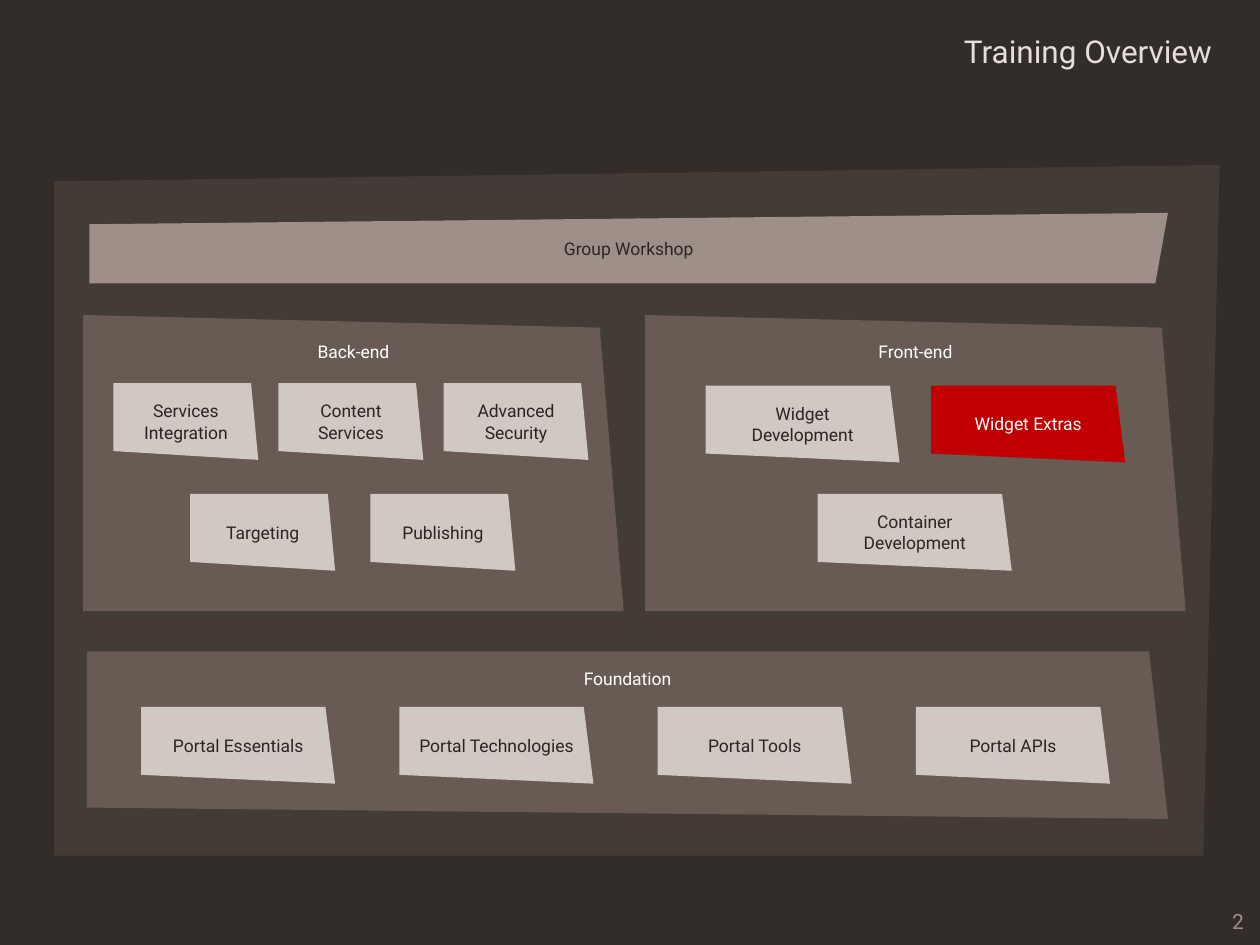
from dataclasses import dataclass

from pptx import Presentation
from pptx import util as u
from pptx.dml.color import RGBColor
from pptx.enum import text

FONT = "Roboto"
BACKGROUND, BACKDROP, PANEL, BANNER = "332D2A", "433B36", "675B53", "9E9088"
TILE, HIGHLIGHT, DARK, WHITE = "CFC8C3", "C00000", "2B2623", "FFFFFF"
TILE_HEIGHT, TILE_LEFT_SIDE, TILE_SLANT = 0.61, 0.54, 0.05


@dataclass
class Block:
    corners: list[tuple[float, float]]
    fill: str
    label: str = ""
    color: str = WHITE
    heading_inset: float | None = None  # None centres the label vertically


@dataclass
class TileRow:
    labels: list[str]
    left: float
    top: float
    width: float
    pitch: float = 0


BLOCKS = [
    Block([(0.43, 1.44), (9.68, 1.31), (9.55, 6.79), (0.43, 6.79)], BACKDROP),
    Block([(0.69, 5.17), (9.12, 5.17), (9.27, 6.5), (0.69, 6.41)],
          PANEL, "Foundation", heading_inset=0.13),
    Block([(0.71, 1.78), (9.27, 1.69), (9.17, 2.25), (0.71, 2.25)],
          BANNER, "Group Workshop", DARK),
] + [
    Block([(left, 2.5), (left + 4.1, 2.6), (left + 4.29, 4.85), (left, 4.85)],
          PANEL, label, heading_inset=0.21)
    for label, left in (("Back-end", 0.66), ("Front-end", 5.12))
]

TILE_ROWS = [
    TileRow(["Services\nIntegration", "Content\nServices", "Advanced\nSecurity"],
            0.9, 3.04, 1.15, 1.31),
    TileRow(["Targeting", "Publishing"], 1.51, 3.92, 1.15, 1.43),
    TileRow(["Widget\nDevelopment", "Widget Extras"], 5.6, 3.06, 1.54, 1.79),
    TileRow(["Container\nDevelopment"], 6.49, 3.92, 1.54),
    TileRow(["Portal Essentials", "Portal Technologies", "Portal Tools", "Portal APIs"],
            1.12, 5.61, 1.54, 2.05),
]


def set_fill(fill, color: str) -> None:
    fill.solid()
    fill.fore_color.rgb = RGBColor.from_string(color)


def write(frame, words: str, size: float, color: str, align) -> None:
    frame.text = words
    for para in frame.paragraphs:
        para.alignment = align
        para.font.name = FONT
        para.font.size = u.Pt(size)
        para.font.color.rgb = RGBColor.from_string(color)


def place(shape, left: float, top: float, width: float, height: float) -> None:
    shape.left, shape.top = u.Inches(left), u.Inches(top)
    shape.width, shape.height = u.Inches(width), u.Inches(height)


def draw_block(page, block: Block) -> None:
    points = [(u.Inches(x), u.Inches(y)) for x, y in block.corners]
    builder = page.shapes.build_freeform(*points[0])
    builder.add_line_segments(points[1:], close=True)
    shape = builder.convert_to_shape()
    shape.shadow.inherit = False
    shape.line.fill.background()
    set_fill(shape.fill, block.fill)
    if not block.label:
        return
    frame = shape.text_frame
    frame.word_wrap = False
    if block.heading_inset is None:
        frame.vertical_anchor = text.MSO_ANCHOR.MIDDLE
    else:
        frame.vertical_anchor = text.MSO_ANCHOR.TOP
        frame.margin_top = u.Inches(block.heading_inset)
    write(frame, block.label, 10, block.color, text.PP_ALIGN.CENTER)


def draw_tile_row(page, row: TileRow) -> None:
    for index, label in enumerate(row.labels):
        left = row.left + index * row.pitch
        right = left + row.width
        corners = [
            (left, row.top),
            (right - TILE_SLANT * row.width, row.top),
            (right, row.top + TILE_HEIGHT),
            (left, row.top + TILE_LEFT_SIDE),
        ]
        fill, color = (HIGHLIGHT, WHITE) if label == "Widget Extras" else (TILE, DARK)
        draw_block(page, Block(corners, fill, label, color))


def main() -> None:
    deck = Presentation()
    deck.slide_width, deck.slide_height = u.Inches(10), u.Inches(7.5)
    page = deck.slides.add_slide(deck.slide_layouts[5])
    set_fill(page.background.fill, BACKGROUND)

    title = page.shapes.title
    place(title, 2.87, 0.2, 6.85, 0.4)
    title.text_frame.vertical_anchor = text.MSO_ANCHOR.MIDDLE
    write(title.text_frame, "Training Overview", 18, "E5DEDC", text.PP_ALIGN.RIGHT)

    for block in BLOCKS:
        draw_block(page, block)
    for row in TILE_ROWS:
        draw_tile_row(page, row)

    number = page.shapes.add_textbox(0, 0, 0, 0)
    place(number, 8.14, 7.17, 1.83, 0.28)
    number.text_frame.word_wrap = True
    number.text_frame.vertical_anchor = text.MSO_ANCHOR.MIDDLE
    write(number.text_frame, "2", 12, BANNER, text.PP_ALIGN.RIGHT)

    deck.save("out.pptx")


if __name__ == "__main__":
    main()
